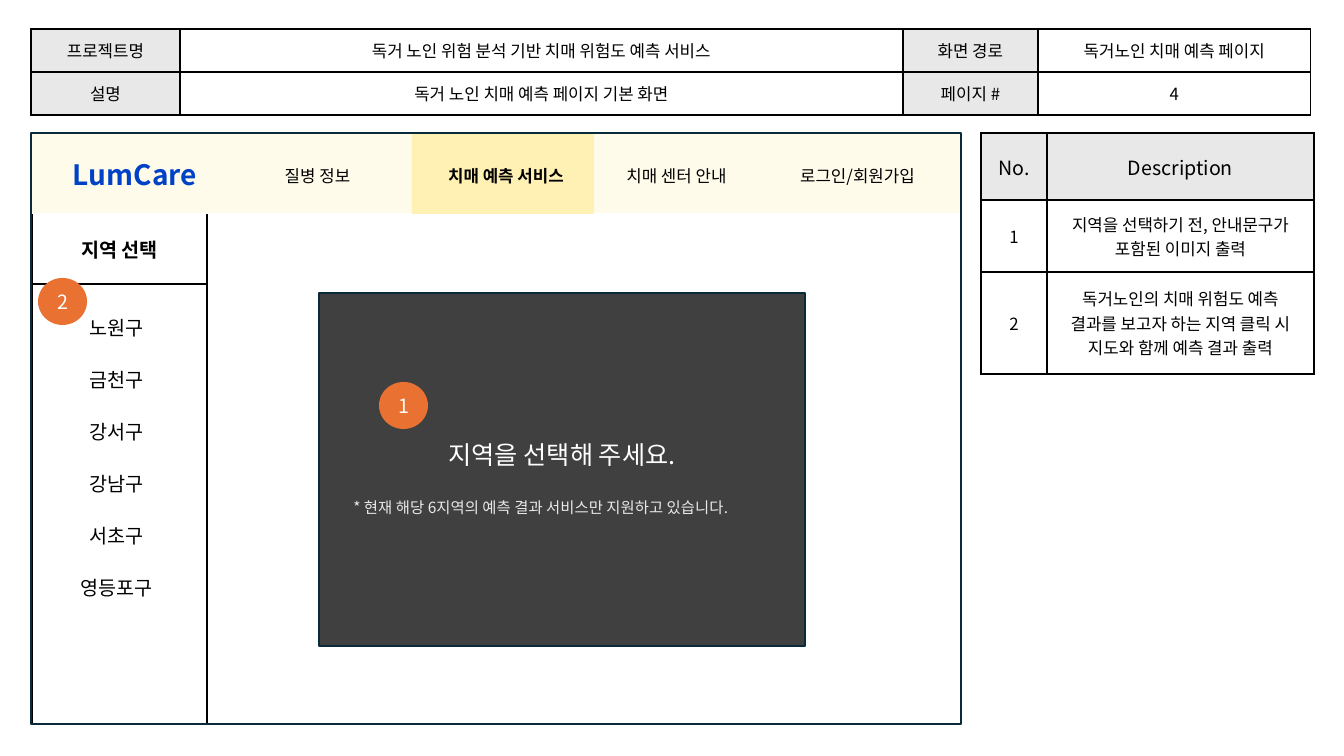
from lxml.etree import SubElement
from pptx import Presentation
from pptx.dml.color import RGBColor
from pptx.enum.shapes import MSO_SHAPE as SHAPE
from pptx.enum.text import MSO_ANCHOR as ANCHOR, PP_ALIGN as ALIGN
from pptx.oxml.ns import qn
from pptx.util import Pt

# Content
INFO = [
    ["프로젝트명", "독거 노인 위험 분석 기반 치매 위험도 예측 서비스", "화면 경로", "독거노인 치매 예측 페이지"],
    ["설명", "독거 노인 치매 예측 페이지 기본 화면", "페이지 #", "4"],
]
DESCRIPTIONS = [
    ["No.", "Description"],
    ["1", "지역을 선택하기 전, 안내문구가 포함된 이미지 출력"],
    ["2", "독거노인의 치매 위험도 예측\n결과를 보고자 하는 지역 클릭 시 지도와 함께 예측 결과 출력"],
]
SERVICE = "LumCare"
MENU = [  # label, left, width, active
    ("질병 정보", 256, 123, False),
    ("치매 예측 서비스", 418, 176, True),
    ("치매 센터 안내", 594, 165, False),
    ("로그인/회원가입", 775, 165, False),
]
SIDEBAR = [["지역 선택"], [""]]
DISTRICTS = ["노원구", "금천구", "강서구", "강남구", "서초구", "영등포구"]
PROMPT = "지역을 선택해 주세요."
NOTE = " * 현재 해당 6지역의 예측 결과 서비스만 지원하고 있습니다."

# Style
FONT = "Noto Sans CJK KR"
BLACK, WHITE, GRAY, NAVY = "000000", "FFFFFF", "E8E8E8", "092A39"
ORANGE, CREAM, YELLOW, BLUE, DARK = "E97132", "FFFBEB", "FFF0B3", "0042C7", "404040"
WIDTH, HEIGHT = 1344, 756
DISTRICT_TOP, DISTRICT_STEP = 304, 52


def px(n):
    return round(n * 12192000 / WIDTH)


def rgb(color):
    return RGBColor.from_string(color)


def write(tf, text, size, color=BLACK, bold=False, align=ALIGN.CENTER):
    tf.word_wrap = True
    for i, line in enumerate(text.split("\n")):
        p = tf.paragraphs[0] if i == 0 else tf.add_paragraph()
        p.alignment = align
        r = p.add_run()
        r.text = line
        r.font.size = Pt(size)
        r.font.bold = bold
        r.font.name = FONT
        SubElement(r.font._element, qn("a:ea"), typeface=FONT)
        r.font.color.rgb = rgb(color)


def add_box(kind, x, y, w, h, fill=None, line=None):
    s = shapes.add_shape(kind, px(x), px(y), px(w), px(h))
    s.shadow.inherit = False
    if fill:
        s.fill.solid()
        s.fill.fore_color.rgb = rgb(fill)
    else:
        s.fill.background()
    if line:
        s.line.color.rgb = rgb(line)
        s.line.width = Pt(1.5)
    else:
        s.line.fill.background()
    s.text_frame.vertical_anchor = ANCHOR.MIDDLE
    return s


def add_label(text, x, y, w, h, size, anchor=ANCHOR.TOP, **style):
    tf = shapes.add_textbox(px(x), px(y), px(w), px(h)).text_frame
    tf.vertical_anchor = anchor
    write(tf, text, size, **style)


def set_borders(cell, sides):
    tc_pr = cell._tc.get_or_add_tcPr()
    for side in "LRTB":
        ln = SubElement(tc_pr, qn("a:ln" + side), w=str(Pt(1)))
        if side in sides:
            SubElement(SubElement(ln, qn("a:solidFill")), qn("a:srgbClr"), val=BLACK)
        else:
            SubElement(ln, qn("a:noFill"))


def add_grid(rows, x, y, col_widths, row_heights, look):
    """look(row, column) gives fill, text size, bold and border sides."""
    table = shapes.add_table(len(rows), len(col_widths), px(x), px(y),
                             px(sum(col_widths)), px(sum(row_heights))).table
    table.first_row = table.horz_banding = False
    for column, w in zip(table.columns, col_widths):
        column.width = px(w)
    for row, h in zip(table.rows, row_heights):
        row.height = px(h)
    for i, row in enumerate(rows):
        for j, text in enumerate(row):
            fill, size, bold, sides = look(i, j)
            cell = table.cell(i, j)
            set_borders(cell, sides)
            if fill:
                cell.fill.solid()
                cell.fill.fore_color.rgb = rgb(fill)
            else:
                cell.fill.background()
            cell.vertical_anchor = ANCHOR.MIDDLE
            if text:
                write(cell.text_frame, text, size, bold=bold)


def add_marker(number, x, y):
    s = add_box(SHAPE.OVAL, x, y, 49, 47, ORANGE)
    write(s.text_frame, number, 14, WHITE)


prs = Presentation()
prs.slide_width, prs.slide_height = px(WIDTH), px(HEIGHT)
shapes = prs.slides.add_slide(prs.slide_layouts[6]).shapes

# Page information and descriptions
add_grid(DESCRIPTIONS, 981, 133, [66, 267], [67, 72, 102],
         lambda i, j: (None if i else GRAY, 12 if i else 14, False, "LRTB"))
add_grid(INFO, 31, 29, [149, 723, 135, 273], [43, 43],
         lambda i, j: (None if j % 2 else GRAY, 12, False, "LRTB"))

# Header with menu
add_box(SHAPE.RECTANGLE, 32, 133, 929, 80, CREAM)
add_box(SHAPE.RECTANGLE, 412, 134, 182, 80, YELLOW)
for label, x, w, active in MENU:
    add_label(label, x, 161, w, 30, 12, ANCHOR.MIDDLE, bold=active)
add_label(SERVICE, 63, 153, 180, 44, 20, color=BLUE, bold=True, align=ALIGN.LEFT)

# Sidebar with districts
add_grid(SIDEBAR, 32, 214, [175], [70, 440],
         lambda i, j: (WHITE, 14, True, "LRTB" if i else "LRB"))
for i, district in enumerate(DISTRICTS):
    s = add_box(SHAPE.ROUNDED_RECTANGLE, 41, DISTRICT_TOP + i * DISTRICT_STEP,
                151, 47, WHITE, WHITE)
    write(s.text_frame, district, 14)

# Prompt panel, its text raised above the middle
panel = add_box(SHAPE.RECTANGLE, 319, 293, 486, 353, DARK, NAVY)
panel.text_frame.margin_bottom = px(35)
write(panel.text_frame, PROMPT, 18, WHITE)
add_marker("1", 379, 382)
add_label(NOTE, 340, 493, 444, 29, 11, color=GRAY, align=ALIGN.LEFT)
add_marker("2", 38, 278)

# Screen frame
add_box(SHAPE.RECTANGLE, 31, 133, 930, 591, line=NAVY)

prs.save("out.pptx")
